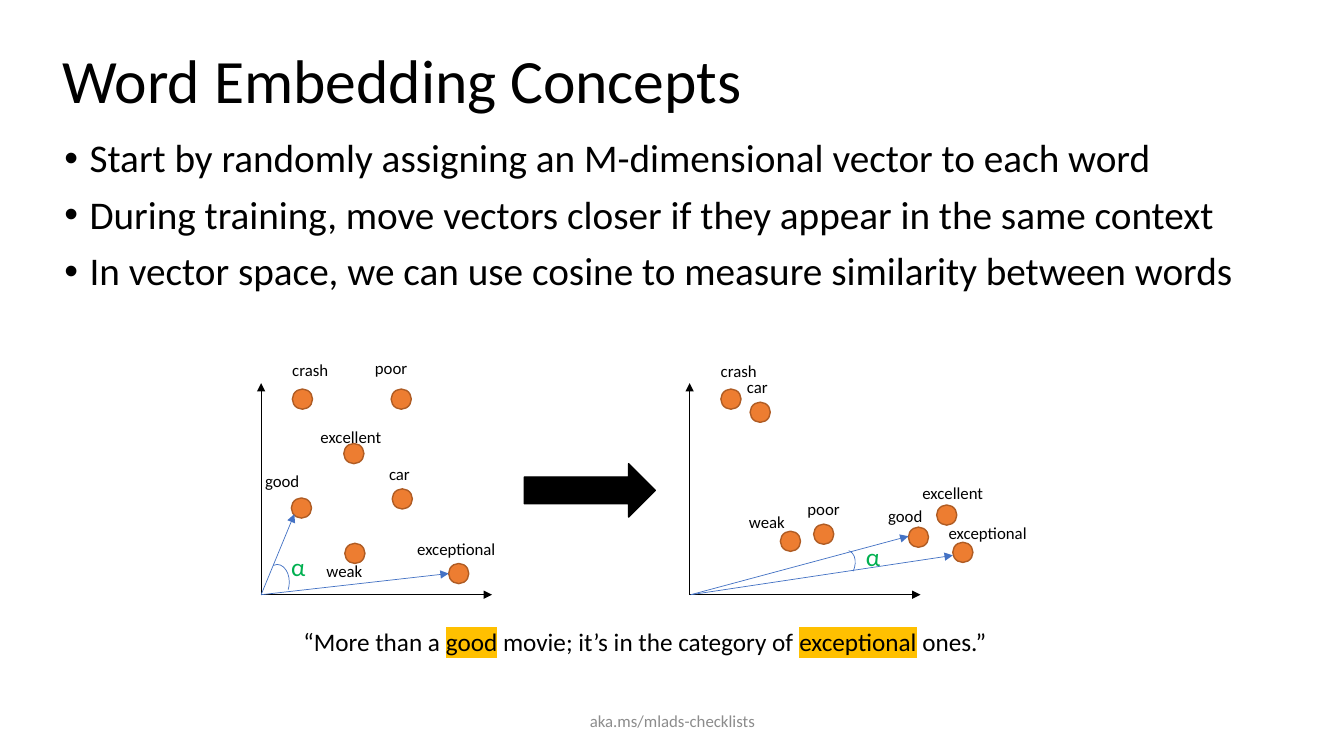
from lxml.etree import SubElement
from pptx import Presentation
from pptx.dml.color import RGBColor
from pptx.enum.shapes import MSO_CONNECTOR, MSO_SHAPE
from pptx.enum.text import MSO_ANCHOR, MSO_AUTO_SIZE, PP_ALIGN
from pptx.oxml.ns import qn
from pptx.util import Inches, Pt

BULLETS = [
    "Start by randomly assigning an M-dimensional vector to each word",
    "During training, move vectors closer if they appear in the same context",
    "In vector space, we can use cosine to measure similarity between words",
]
QUOTE = [
    ("“More than a ", False), ("good", True),
    (" movie; it’s in the category of ", False), ("exceptional", True),
    (" ones.”", False),
]
LABEL_WIDTHS = {"crash": 0.6, "poor": 0.79, "excellent": 0.96, "good": 0.79,
                "car": 0.82, "weak": 0.96, "exceptional": 1.06}
RANDOM_WORDS = [
    ("poor", (3.88, 3.86), (3.62, 3.5)),
    ("exceptional", (4.45, 5.59), (4.04, 5.3)),
    ("weak", (3.42, 5.39), (3.14, 5.51)),
    ("car", (3.89, 4.85), (3.76, 4.55)),
    ("good", (2.89, 4.94), (2.53, 4.62)),
    ("excellent", (3.41, 4.4), (3.08, 4.18)),
    ("crash", (2.9, 3.86), (2.8, 3.52)),
]
TRAINED_WORDS = [
    ("excellent", (9.29, 5.01), (9.05, 4.74)),
    ("good", (9.01, 5.23), (8.71, 4.97)),
    ("weak", (7.74, 5.27), (7.33, 5.03)),
    ("car", (7.44, 3.99), (7.31, 3.69)),
    ("poor", (8.07, 5.2), (7.91, 4.9)),
    ("exceptional", (9.45, 5.38), (9.31, 5.14)),
    ("crash", (7.15, 3.86), (7.05, 3.53)),
]


def color(value):
    """Turn a hex string into a colour."""
    return RGBColor.from_string(value)


def apply(target, values):
    """Set every attribute of a dict on the target."""
    for name, value in values.items():
        setattr(target, name, value)


class SlideBuilder:
    """Hold the slide style and draw each kind of element."""

    font_name = "Calibri"
    black, blue, green, gray = "000000", "4472C4", "00B050", "8C8C8C"
    orange, brown, amber = "ED7D31", "AF5C24", "FFC000"

    def __init__(self, presentation):
        """Add a title-only slide."""
        self.slide = presentation.slides.add_slide(presentation.slide_layouts[5])
        self.shapes = self.slide.shapes

    def add_text_run(self, paragraph, text, size, ink, highlighted=False):
        """Add one run to a paragraph."""
        run = paragraph.add_run()
        run.text = text
        apply(run.font, {"name": self.font_name, "size": Pt(size), "bold": False})
        run.font.color.rgb = color(ink)
        if highlighted:
            properties = run._r.get_or_add_rPr()
            highlight = SubElement(properties, qn("a:highlight"))
            SubElement(highlight, qn("a:srgbClr")).set("val", self.amber)
            properties.find(qn("a:solidFill")).addnext(highlight)

    def title(self, text, left, top, width, height):
        """Place and fill the title placeholder."""
        title = self.slide.shapes.title
        apply(title, {"left": Inches(left), "top": Inches(top),
                      "width": Inches(width), "height": Inches(height)})
        apply(title.text_frame, {"vertical_anchor": MSO_ANCHOR.MIDDLE, "word_wrap": True})
        paragraph = title.text_frame.paragraphs[0]
        apply(paragraph, {"alignment": PP_ALIGN.LEFT, "line_spacing": 0.9})
        self.add_text_run(paragraph, text, 44, self.black)

    def frame(self, left, top, width, height, **values):
        """Add a wrapping text box and return its text frame."""
        box = self.shapes.add_textbox(Inches(left), Inches(top), Inches(width), Inches(height))
        apply(box.text_frame, {"word_wrap": True, **values})
        return box.text_frame

    def text(self, runs, left, top, width, height, size, ink):
        """Add a single line made of plain and highlighted runs."""
        frame = self.frame(left, top, width, height, auto_size=MSO_AUTO_SIZE.SHAPE_TO_FIT_TEXT)
        for text, highlighted in runs:
            self.add_text_run(frame.paragraphs[0], text, size, ink, highlighted)

    def bullets(self, lines, left, top, width, height):
        """Add a bulleted list."""
        frame = self.frame(left, top, width, height)
        for index, line in enumerate(lines):
            paragraph = frame.add_paragraph() if index else frame.paragraphs[0]
            apply(paragraph, {"line_spacing": 0.9, "space_before": Pt(10 if index else 0)})
            properties = paragraph._p.get_or_add_pPr()
            properties.set("marL", str(Inches(0.25)))
            properties.set("indent", str(-Inches(0.25)))
            SubElement(properties, qn("a:buFont")).set("typeface", "Arial")
            SubElement(properties, qn("a:buChar")).set("char", "•")
            self.add_text_run(paragraph, line, 28, self.black)

    def footer(self, text, left, top, width, height):
        """Add the centred footer line."""
        frame = self.frame(left, top, width, height, vertical_anchor=MSO_ANCHOR.MIDDLE)
        frame.paragraphs[0].alignment = PP_ALIGN.CENTER
        self.add_text_run(frame.paragraphs[0], text, 12, self.gray)

    def shape(self, kind, left, top, width, height, fill, line, weight=1):
        """Add a preset shape, unfilled when fill is None."""
        shape = self.shapes.add_shape(kind, Inches(left), Inches(top), Inches(width), Inches(height))
        shape.shadow.inherit = False
        if fill:
            shape.fill.solid()
            shape.fill.fore_color.rgb = color(fill)
        else:
            shape.fill.background()
        shape.line.color.rgb = color(line)
        shape.line.width = Pt(weight)
        return shape

    def arrow(self, start, end, ink):
        """Add a thin arrow."""
        points = [Inches(value) for value in (*start, *end)]
        connector = self.shapes.add_connector(MSO_CONNECTOR.STRAIGHT, *points)
        connector.line.color.rgb = color(ink)
        connector.line.width = Pt(0.5)
        properties = connector._element.spPr
        SubElement(properties.find(qn("a:ln")), qn("a:tailEnd")).set("type", "triangle")
        SubElement(properties, qn("a:effectLst"))

    def plot(self, origin, words):
        """Add a group with two axes and labelled word dots."""
        self.shapes = self.slide.shapes.add_group_shape().shapes
        self.arrow((origin, 5.9), (origin, 3.8), self.black)
        self.arrow((origin, 5.9), (origin + 2.29, 5.9), self.black)
        for word, dot, label in words:
            self.shape(MSO_SHAPE.FLOWCHART_CONNECTOR, *dot, 0.2, 0.2, self.orange, self.brown)
            self.text([(word, False)], *label, LABEL_WIDTHS[word], 0.3, 12, self.black)
        self.shapes = self.slide.shapes

    def angle(self, origin, ends, arc, sweep, rotation, label):
        """Add two word vectors and the marked angle between them."""
        for end in ends:
            self.arrow((origin, 5.9), end, self.blue)
        shape = self.shape(MSO_SHAPE.ARC, *arc, 0.24, 0.35, None, self.blue, 0.5)
        shape.adjustments[0], shape.adjustments[1] = sweep
        shape.rotation = rotation
        self.text([("α", False)], *label, 0.29, 0.4, 18, self.green)


def main():
    """Build the slide and save it."""
    presentation = Presentation()
    apply(presentation, {"slide_width": Inches(13.33), "slide_height": Inches(7.5)})
    builder = SlideBuilder(presentation)
    builder.title("Word Embedding Concepts", 0.52, 0.1, 11.5, 1.45)
    builder.bullets(BULLETS, 0.54, 1.33, 12.71, 1.8)
    builder.plot(2.59, RANDOM_WORDS)
    builder.plot(6.84, TRAINED_WORDS)
    builder.text(QUOTE, 2.91, 6.16, 8.22, 0.4, 18, builder.black)
    builder.shape(MSO_SHAPE.RIGHT_ARROW, 5.2, 4.6, 1.3, 0.53, builder.black, builder.black)
    builder.angle(2.59, [(2.92, 5.1), (4.45, 5.69)], (2.63, 5.6), (153.93, 20.83), 0, (2.79, 5.42))
    builder.angle(6.85, [(9.01, 5.32), (9.45, 5.51)], (8.23, 5.45), (159.51, 212.11), 26.9, (8.49, 5.32))
    builder.footer("aka.ms/mlads-checklists", 4.42, 6.95, 4.5, 0.4)
    presentation.save("out.pptx")


if __name__ == "__main__":
    main()
